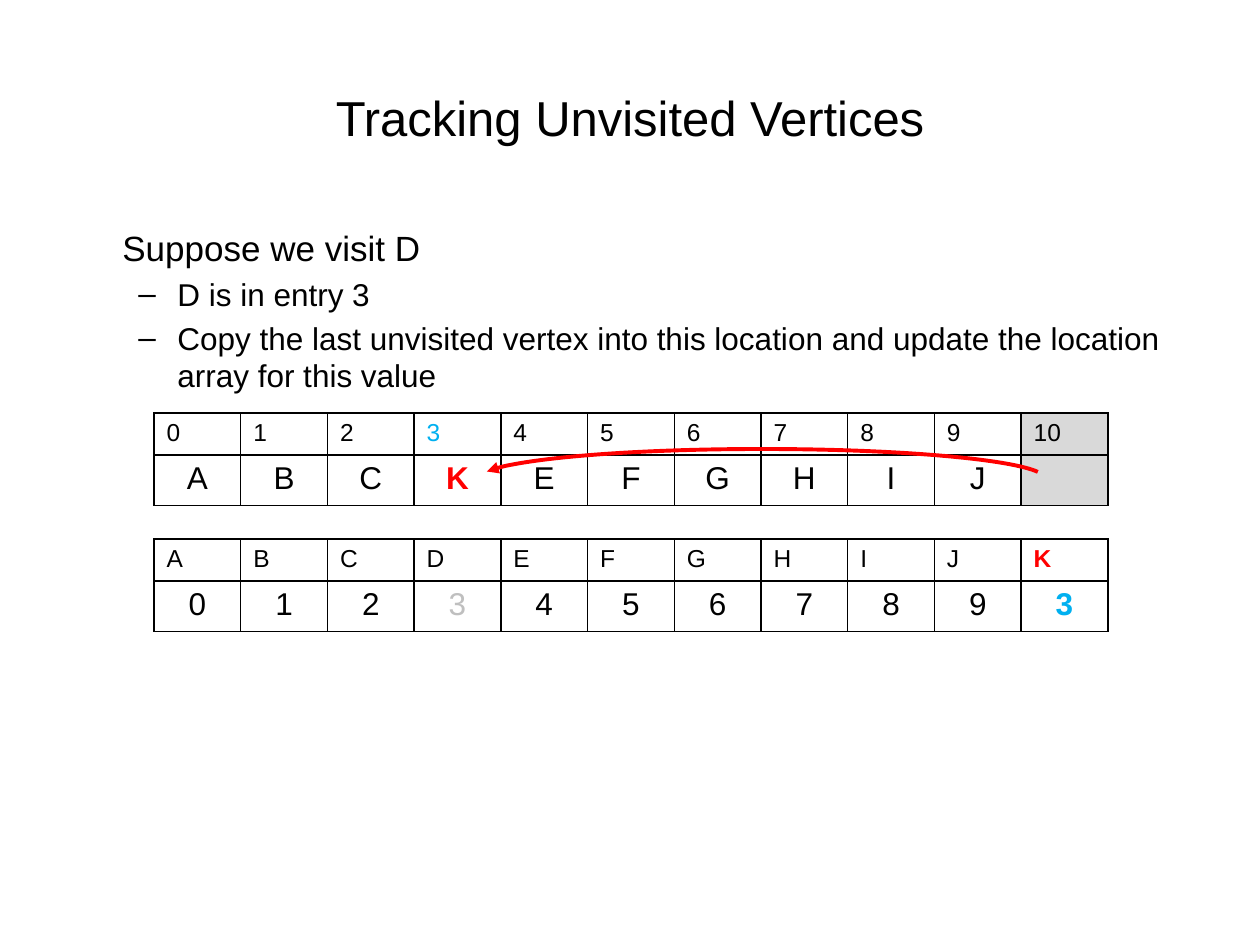
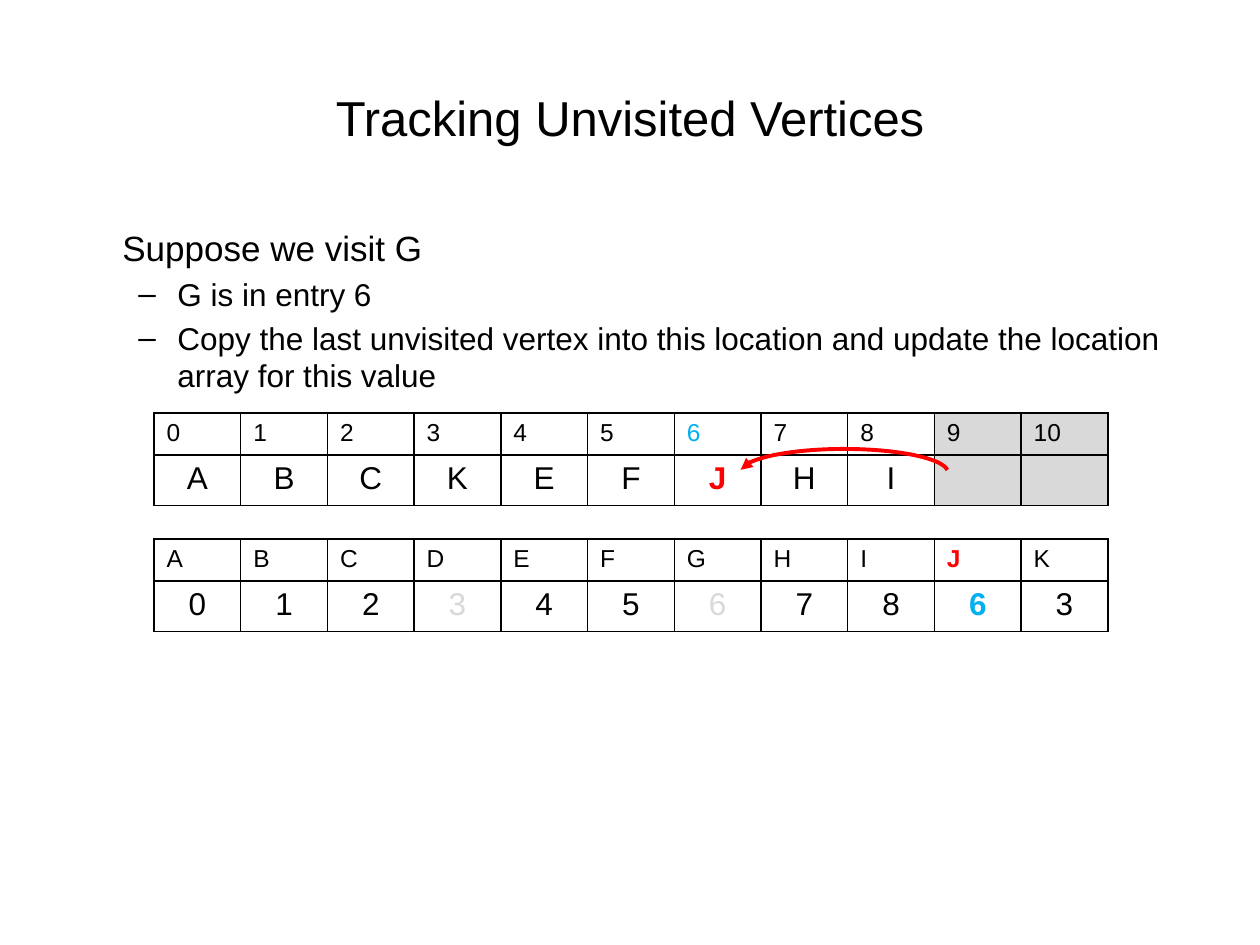
from lxml.etree import SubElement
from pptx import Presentation
from pptx.dml.color import RGBColor
from pptx.enum.shapes import MSO_SHAPE as Shape
from pptx.enum.text import MSO_ANCHOR as Anchor, PP_ALIGN as Align
from pptx.oxml.ns import qn
from pptx.util import Emu, Pt

PX_PER_INCH = 126
FONT = "Arial"
COLORS = {
    "text": "000000",
    "paper": "FFFFFF",
    "moved": "FF0000",
    "entry": "00B0F0",
    "visited": "D9D9D9",
    "stale": "BFBFBF",
}
TITLE = "Tracking Unvisited Vertices"
COPY_STEP = ("Copy the last unvisited vertex into this location "
             "and update the location array for this value")
TITLE_BOX = (63, 38, 1134, 158)
BODY_BOX = (63, 220, 1134, 624)
TABLE_LEFT, TABLE_WIDTH = 154, 954
ROW_HEIGHTS = (42, 50)
VERTICES = list("ABCDEFGHIJK")
ENTRIES = [str(entry) for entry in range(len(VERTICES))]
MOVED = {"color": "moved", "bold": True}
NEW_ENTRY = {"color": "entry", "bold": True}


def px(length):
    return Emu(round(length * 914400 / PX_PER_INCH))


def box(*lengths):
    return [px(length) for length in lengths]


def rgb(name):
    return RGBColor.from_string(COLORS[name])


def add_run(paragraph, text, size, color="text", bold=False):
    run = paragraph.add_run()
    run.text = text
    values = {"name": FONT, "size": Pt(size), "bold": bold}
    for attribute, value in values.items():
        setattr(run.font, attribute, value)
    run.font.color.rgb = rgb(color)


def set_title(slide, text):
    title = slide.shapes.title
    title.left, title.top, title.width, title.height = box(*TITLE_BOX)
    title.text_frame.vertical_anchor = Anchor.MIDDLE
    paragraph = title.text_frame.paragraphs[0]
    paragraph.alignment = Align.CENTER
    add_run(paragraph, text, 28)


def set_indent(paragraph, margin, indent=0, bullet=None):
    properties = paragraph._p.get_or_add_pPr()
    properties.set("marL", str(px(margin)))
    properties.set("indent", str(px(indent)))
    if bullet:
        SubElement(properties, qn("a:buFont"), typeface=FONT)
        SubElement(properties, qn("a:buChar"), char=bullet)


def add_steps(slide, heading, steps):
    frame = slide.shapes.add_textbox(*box(*BODY_BOX)).text_frame
    frame.word_wrap = True
    paragraph = frame.paragraphs[0]
    paragraph.space_before = Pt(4)
    set_indent(paragraph, 47)
    add_run(paragraph, heading, 20)
    for step in steps:
        paragraph = frame.add_paragraph()
        paragraph.level = 1
        paragraph.space_before = Pt(3.6)
        set_indent(paragraph, 102, -39, "–")
        add_run(paragraph, step, 18)


def set_borders(cell):
    """Draw a thin line on each side; borders must precede the cell's fill."""
    properties = cell._tc.get_or_add_tcPr()
    for side in ("lnL", "lnR", "lnT", "lnB"):
        line = SubElement(properties, qn(f"a:{side}"), w=str(Pt(1)))
        fill = SubElement(line, qn("a:solidFill"))
        SubElement(fill, qn("a:srgbClr"), val=COLORS["text"])


def add_array(slide, top, indices, values, styles, visited=()):
    """Add an index row over a value row; styles maps (row, column) to a format."""
    table = slide.shapes.add_table(
        2, len(indices), *box(TABLE_LEFT, top, TABLE_WIDTH, sum(ROW_HEIGHTS))).table
    table.first_row = table.horz_banding = False
    for column in table.columns:
        column.width = px(TABLE_WIDTH / len(indices))
    formats = ((indices, 14, Align.LEFT), (values, 18, Align.CENTER))
    for row, (texts, size, alignment) in enumerate(formats):
        table.rows[row].height = px(ROW_HEIGHTS[row])
        for column, text in enumerate(texts):
            cell = table.cell(row, column)
            set_borders(cell)
            cell.fill.solid()
            cell.fill.fore_color.rgb = rgb("visited" if column in visited else "paper")
            paragraph = cell.text_frame.paragraphs[0]
            paragraph.alignment = alignment
            add_run(paragraph, text, size, **styles.get((row, column), {}))


def add_move_arc(slide, left, top, width, height):
    arc = slide.shapes.add_shape(Shape.ARC, *box(left, top, width, height))
    arc.shadow.inherit = False
    arc.adjustments[0], arc.adjustments[1] = 108.87, 215.18
    arc.fill.background()
    arc.line.color.rgb = rgb("moved")
    arc.line.width = Pt(2.25)
    SubElement(arc.line._get_or_add_ln(), qn("a:headEnd"), type="triangle")


def add_visit(presentation, vertex, unvisited, locations, stale, stale_color, arc):
    """Show the arrays after the last unvisited vertex replaces the visited one."""
    slide = presentation.slides.add_slide(presentation.slide_layouts[5])
    set_title(slide, TITLE)
    entry = VERTICES.index(vertex)
    last = len(unvisited)
    add_steps(slide, f"Suppose we visit {vertex}",
              [f"{vertex} is in entry {entry}", COPY_STEP])

    visited = range(last, len(VERTICES))
    add_array(slide, 413, ENTRIES, list(unvisited) + [""] * len(visited),
              {(0, entry): {"color": "entry"}, (1, entry): MOVED}, visited)

    location_styles = {(1, VERTICES.index(name)): {"color": stale_color} for name in stale}
    location_styles.update({(0, last): MOVED, (1, last): NEW_ENTRY})
    add_array(slide, 539, VERTICES, locations, location_styles)
    add_move_arc(slide, *arc)


def main():
    presentation = Presentation()
    presentation.slide_width, presentation.slide_height = box(1260, 945)
    add_visit(presentation, "D", "ABCKEFGHIJ", "01234567893", "D", "stale",
              (479, 449, 566, 59))
    add_visit(presentation, "G", "ABCKEFJHI", "01234567863", "DG", "visited",
              (740, 449, 208, 47))
    presentation.save("out.pptx")


if __name__ == "__main__":
    main()
